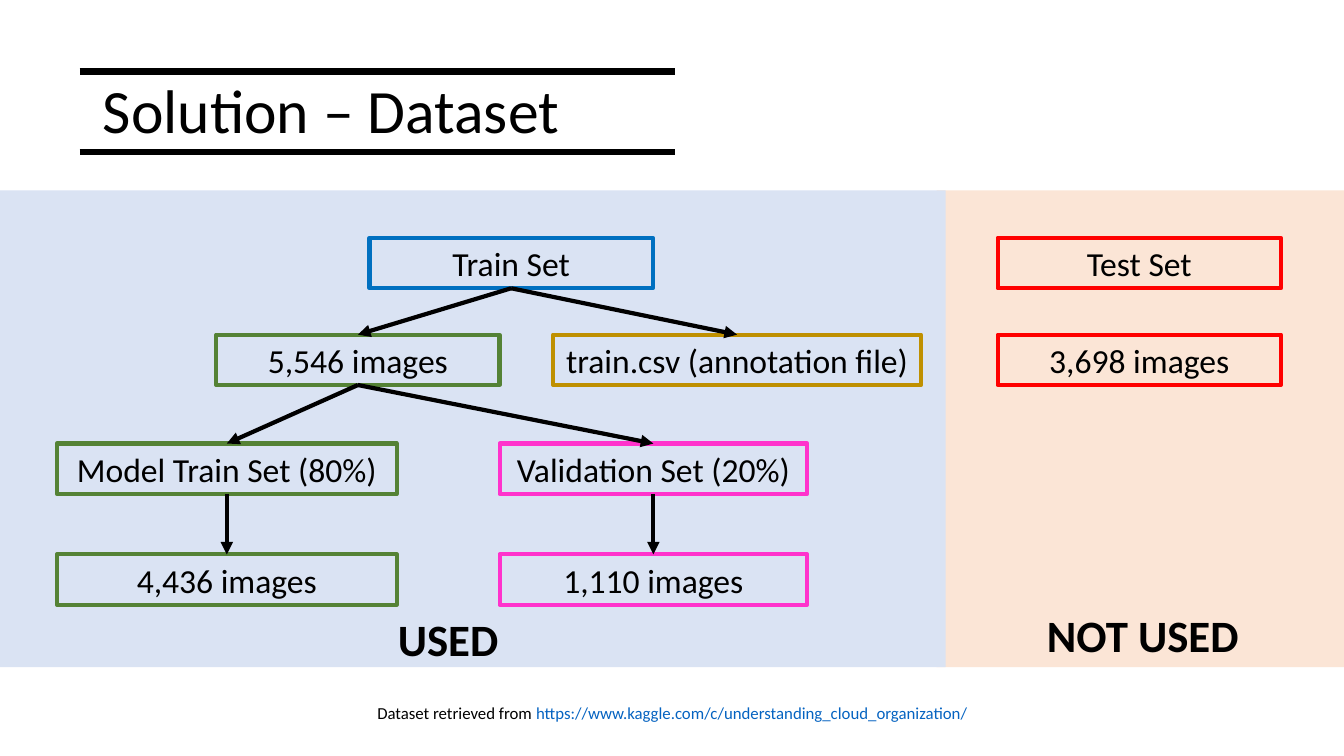
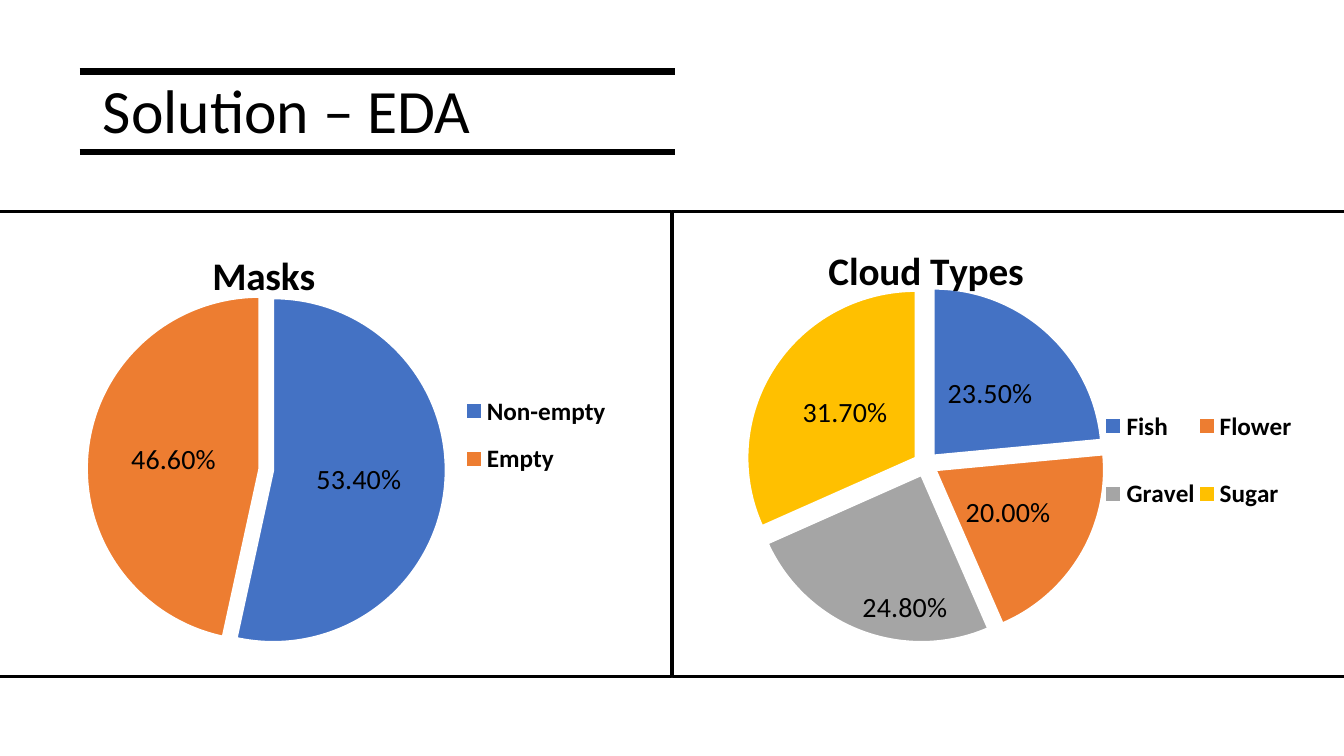
"""Builds two slides on a cloud image dataset: its split tree and its class shares."""
from copy import deepcopy

from lxml import etree
from pptx import Presentation
from pptx import util as u
from pptx.chart.data import CategoryChartData
from pptx.dml.color import RGBColor
from pptx.enum import chart as charts, shapes, text
from pptx.oxml import parse_xml
from pptx.oxml.ns import nsdecls, qn

THEME = {
    "font": "Calibri", "ink": "000000", "white": "FFFFFF", "link": "0563C1",
    "used": "DAE3F3", "unused": "FBE5D6",
    "blue": "0070C0", "red": "FF0000", "green": "548235", "gold": "BF9000", "pink": "FF33CC",
    "slices": ["4472C4", "ED7D31", "A5A5A5", "FFC000"],
    "title": 44, "verdict": 32, "chart_title": 28, "box": 24, "label": 20, "legend": 18, "source": 12,
}
WIDTH, HEIGHT = 13.33, 7.5
TITLE_RULES = (0.71, 1.51)
ROWS = (2.36, 3.32, 4.4, 5.5)
BOX_HEIGHT = 0.5

BANDS = [("unused", 9.29, 4.04), ("used", 0, 9.38)]
BOXES = {
    "train": ("Train Set", 0, 5.07, 2.81, "blue"),
    "test": ("Test Set", 0, 11.3, 2.81, "red"),
    "images": ("5,546 images", 1, 3.55, 2.81, "green"),
    "test images": ("3,698 images", 1, 11.3, 2.81, "red"),
    "csv": ("train.csv (annotation file)", 1, 7.31, 3.65, "gold"),
    "validation": ("Validation Set (20%)", 2, 6.48, 3.05, "pink"),
    "model": ("Model Train Set (80%)", 2, 2.25, 3.37, "green"),
    "validation images": ("1,110 images", 3, 6.48, 3.05, "pink"),
    "model images": ("4,436 images", 3, 2.25, 3.37, "green"),
}
ARROWS = [("train", "images"), ("train", "csv"), ("images", "model"), ("images", "validation"),
          ("model", "model images"), ("validation", "validation images")]
VERDICTS = [("USED", 3.61, 6.02, 1.67), ("NOT USED", 9.86, 5.98, 2.95)]
SOURCE = [("Dataset retrieved from ", "ink"),
          ("https://www.kaggle.com/c/understanding_cloud_organization/", "link")]

PANELS = [(6.67, 7.14), (-0.21, 6.87)]
PIES = [
    {"title": "Masks", "left": -0.46, "explosion": 4,
     "shares": {"Non-empty": 53.4, "Empty": 46.6}, "inside_end": [],
     "title_at": (0.35, 0.07), "plot_at": (0.19, 0.2, 0.49, 0.8), "legend_at": (0.7, 0.39, 0.22, 0.26)},
    {"title": "Cloud Types", "left": 6.15, "explosion": 7,
     "shares": {"Fish": 23.5, "Flower": 20, "Gravel": 24.8, "Sugar": 31.7}, "inside_end": [2],
     "title_at": (0.28, 0.06), "plot_at": (0.19, 0.2, 0.47, 0.78), "legend_at": (0.67, 0.38, 0.27, 0.4)},
]


def color(name):
    return RGBColor.from_string(THEME.get(name, name))


def inches(*values):
    return [u.Inches(value) for value in values]


def style(font, size, name="ink", bold=False):
    font.name, font.size, font.bold = THEME["font"], u.Pt(THEME[size]), bold
    font.color.rgb = color(name)


def add_line(slide, start, end, width):
    line = slide.shapes.add_connector(shapes.MSO_CONNECTOR.STRAIGHT, *inches(*start, *end))
    line.line.color.rgb, line.line.width = color("ink"), u.Pt(width)
    etree.SubElement(line._element.spPr, qn("a:effectLst"))
    return line


def add_box(slide, place, fill=None, outline=None, width=3):
    box = slide.shapes.add_shape(shapes.MSO_SHAPE.RECTANGLE, *inches(*place))
    box.shadow.inherit = False
    if fill:
        box.fill.solid()
        box.fill.fore_color.rgb = color(fill)
    else:
        box.fill.background()
    if outline:
        box.line.color.rgb, box.line.width = color(outline), u.Pt(width)
    else:
        box.line.fill.background()
    return box


def add_text(slide, place, size, runs, bold=False):
    frame = slide.shapes.add_textbox(*inches(*place)).text_frame
    frame.word_wrap = True
    paragraph = frame.paragraphs[0]
    paragraph.alignment = text.PP_ALIGN.CENTER
    for words, name in runs:
        run = paragraph.add_run()
        run.text = words
        style(run.font, size, name, bold)


def add_titled_slide(presentation, words):
    slide = presentation.slides.add_slide(presentation.slide_layouts[5])
    for y in TITLE_RULES:
        add_line(slide, (0.79, y), (6.69, y), 4.5)
    title = slide.shapes.title
    title.left, title.top, title.width, title.height = inches(0.92, 0.4, 11.5, 1.45)
    title.text_frame.text = words
    title.text_frame.vertical_anchor = text.MSO_ANCHOR.MIDDLE
    paragraph = title.text_frame.paragraphs[0]
    paragraph.alignment, paragraph.line_spacing = text.PP_ALIGN.LEFT, 0.9
    style(paragraph.font, "title")
    return slide


def build_dataset(presentation):
    slide = add_titled_slide(presentation, "Solution – Dataset")
    for fill, left, width in BANDS:
        add_box(slide, (left, 1.89, width, 4.73), fill=fill)
    boxes = {}
    for key, (words, row, center, width, outline) in BOXES.items():
        place = (center - width / 2, ROWS[row], width, BOX_HEIGHT)
        boxes[key] = box = add_box(slide, place, outline=outline)
        box.text_frame.text = words
        paragraph = box.text_frame.paragraphs[0]
        paragraph.alignment = text.PP_ALIGN.CENTER
        style(paragraph.font, "box")
    for parent, child in ARROWS:
        arrow = add_line(slide, (0, 0), (1, 1), 3)
        arrow.begin_connect(boxes[parent], 2)
        arrow.end_connect(boxes[child], 0)
        etree.SubElement(arrow.line._get_or_add_ln(), qn("a:tailEnd"), type="triangle")
    for words, left, top, width in VERDICTS:
        add_text(slide, (left, top, width, 0.64), "verdict", [(words, "ink")], bold=True)
    add_text(slide, (2.12, 6.92, 9.1, 0.3), "source", SOURCE)


def set_layout(parent, index, place, inner=False):
    for old in parent.findall(qn("c:layout")):
        parent.remove(old)
    layout = parse_xml(f"<c:layout {nsdecls('c')}><c:manualLayout/></c:layout>")
    fields = [("layoutTarget", "inner")] if inner else []
    fields += [("xMode", "edge"), ("yMode", "edge"), *zip("xywh", place)]
    for tag, value in fields:
        etree.SubElement(layout[0], qn(f"c:{tag}"), val=str(value))
    parent.insert(index, layout)


def add_pie(slide, pie):
    data = CategoryChartData()
    data.categories = list(pie["shares"])
    data.add_series("Series 1", list(pie["shares"].values()))
    frame = slide.shapes.add_chart(charts.XL_CHART_TYPE.PIE, *inches(pie["left"], 2.1, 7.13, 4.28), data)
    chart = frame.chart
    chart.font.name = THEME["font"]
    chart.has_title = chart.has_legend = True
    title = chart.chart_title
    title.text_frame.text = pie["title"]
    style(title.text_frame.paragraphs[0].font, "chart_title", bold=True)
    set_layout(title._element, 1, pie["title_at"])
    chart.legend.position = charts.XL_LEGEND_POSITION.RIGHT
    chart.legend.include_in_layout = False
    style(chart.legend.font, "legend", bold=True)
    set_layout(chart.legend._element, 1, pie["legend_at"])
    set_layout(chart._chartSpace.chart.plotArea, 0, pie["plot_at"], inner=True)

    plot = chart.plots[0]
    plot.vary_by_categories = True
    series = plot.series[0]
    for index, fill in zip(range(len(pie["shares"])), THEME["slices"]):
        slice_format = series.points[index].format
        slice_format.fill.solid()
        slice_format.fill.fore_color.rgb = color(fill)
        slice_format.line.color.rgb, slice_format.line.width = color("white"), u.Pt(1.5)
    for point in series._element.findall(qn("c:dPt")):
        explosion = parse_xml(f'<c:explosion {nsdecls("c")} val="{pie["explosion"]}"/>')
        point.find(qn("c:spPr")).addprevious(explosion)

    labels = series.data_labels
    labels.show_percentage, labels.show_value = True, False
    labels.number_format, labels.number_format_is_linked = "0.00%", False
    labels.position = charts.XL_LABEL_POSITION.CENTER
    style(labels.font, "label")
    shared = [deepcopy(child) for child in labels._element if child.tag != qn("c:showLeaderLines")]
    for index in pie["inside_end"]:
        label = parse_xml(f'<c:dLbl {nsdecls("c")}><c:idx val="{index}"/></c:dLbl>')
        label.extend(deepcopy(shared))
        label.find(qn("c:dLblPos")).set("val", "inEnd")
        labels._element.insert(0, label)


def build_eda(presentation):
    slide = add_titled_slide(presentation, "Solution – EDA")
    for left, width in PANELS:
        add_box(slide, (left, 2.1, width, 4.61), outline="ink", width=2.25)
    for pie in PIES:
        add_pie(slide, pie)


def main():
    presentation = Presentation()
    presentation.slide_width, presentation.slide_height = inches(WIDTH, HEIGHT)
    build_dataset(presentation)
    build_eda(presentation)
    presentation.save("out.pptx")


if __name__ == "__main__":
    main()
